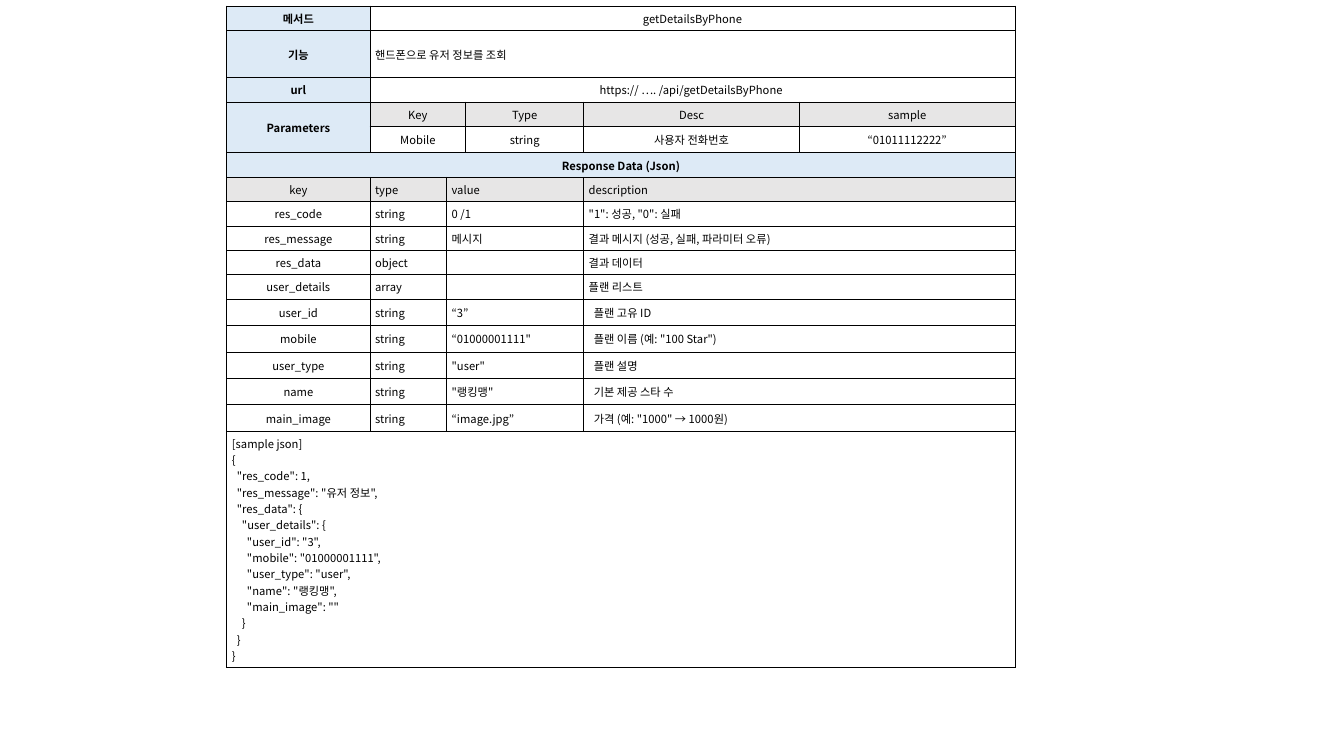
import pptx
import pptx.dml.color
import pptx.enum.text
import pptx.oxml.ns
import pptx.util
from lxml import etree

Inches = pptx.util.Inches
Pt = pptx.util.Pt
qn = pptx.oxml.ns.qn
FONT = "Noto Sans CJK KR"
COLORS = {"heading": "DDEAF6", "header": "E7E6E6", "plain": "FFFFFF", "ink": "000000"}
ALIGN = {"center": pptx.enum.text.PP_ALIGN.CENTER, "left": pptx.enum.text.PP_ALIGN.LEFT}


def draw_borders(cell):
    properties = cell._tc.get_or_add_tcPr()
    for side in ("a:lnL", "a:lnR", "a:lnT", "a:lnB"):
        line = etree.SubElement(properties, qn(side), w=str(Pt(0.75)))
        line_fill = etree.SubElement(line, qn("a:solidFill"))
        etree.SubElement(line_fill, qn("a:srgbClr"), val=COLORS["ink"])


def fill_cell(row, column, text, fill="plain", align="left", width=1, height=1,
              bold=False, roomy=False, anchor=pptx.enum.text.MSO_ANCHOR.MIDDLE):
    """Merge, colour and write one cell; width and height count grid cells."""
    cell = api_table.cell(row, column)
    if width > 1 or height > 1:
        cell.merge(api_table.cell(row + height - 1, column + width - 1))
    cell.fill.solid()
    cell.fill.fore_color.rgb = pptx.dml.color.RGBColor.from_string(COLORS[fill])
    cell.vertical_anchor = anchor
    cell.margin_left = cell.margin_right = Inches(0.1 if roomy else 0.05)
    cell.margin_top = cell.margin_bottom = Inches(0.05 if roomy else 0.04)
    for index, line in enumerate(text.split("\n")):
        frame = cell.text_frame
        paragraph = frame.add_paragraph() if index else frame.paragraphs[0]
        paragraph.alignment = ALIGN[align]
        if not line:
            etree.SubElement(paragraph._p, qn("a:endParaRPr"), sz="800")
            continue
        run = paragraph.add_run()
        run.text = line
        run.font.size = Pt(8)
        run.font.bold = bold
        run.font.name = FONT
        run.font.color.rgb = pptx.dml.color.RGBColor.from_string(COLORS["ink"])
        etree.SubElement(run.font._element, qn("a:ea"), typeface=FONT)


summary = [
    ("메서드", "getDetailsByPhone", "center"),
    ("기능", "핸드폰으로 유저 정보를 조회", "left"),
    ("url", "https:// …. /api/getDetailsByPhone ", "center"),
]
parameters = [
    ("Key", "Type", "Desc", "sample"),
    ("Mobile", "string", "사용자 전화번호", "“01011112222”"),
]
response_fields = [
    ("key", "type", "value", "description"),
    ("res_code", "string", "0 /1", '"1": 성공, "0": 실패'),
    ("res_message", "string", "메시지", "결과 메시지 (성공, 실패, 파라미터 오류)"),
    ("res_data", "object", "", "결과 데이터"),
    ("user_details", "array", "", "플랜 리스트"),
    ("user_id", "string", "“3”", "플랜 고유 ID"),
    ("mobile", "string", '“01000001111"', '플랜 이름 (예: "100 Star")'),
    ("user_type", "string", '"user"', "플랜 설명"),
    ("name", "string", '"랭킹맹"', "기본 제공 스타 수"),
    ("main_image", "string", "“image.jpg”", '가격 (예: "1000" → 1000원)'),
]
FIRST_USER_FIELD = 5
sample_json = """[sample json]
{
  "res_code": 1,
  "res_message": "유저 정보",
  "res_data": {
    "user_details": {
      "user_id": "3",
      "mobile": "01000001111",
      "user_type": "user",
      "name": "랭킹맹",
      "main_image": ""
    }
  }
}"""

presentation = pptx.Presentation()
presentation.slide_width = Inches(13.33)
presentation.slide_height = Inches(7.5)
slide = presentation.slides.add_slide(presentation.slide_layouts[6])

column_widths = [1.42, 0.76, 0.19, 1.17, 2.14, 2.14]
row_heights = [0.2, 0.47] + [0.2] * 14 + [1.6]
api_table = slide.shapes.add_table(
    len(row_heights), len(column_widths),
    Inches(2.25), Inches(0.06), Inches(7.82), Inches(5.7)).table
api_table.first_row = False
api_table.horz_banding = False
for column, width in zip(api_table.columns, column_widths):
    column.width = Inches(width)
for row, height in zip(api_table.rows, row_heights):
    row.height = Inches(height)
for cell in api_table.iter_cells():
    draw_borders(cell)

for row, (label, content, align) in enumerate(summary):
    fill_cell(row, 0, label, "heading", "center", bold=True)
    fill_cell(row, 1, content, align=align, width=5)

parameters_row = len(summary)
fill_cell(parameters_row, 0, "Parameters", "heading", "center", height=2, bold=True)
for index, texts in enumerate(parameters):
    for text, (column, width) in zip(texts, [(1, 2), (3, 1), (4, 1), (5, 1)]):
        fill_cell(parameters_row + index, column, text, "plain" if index else "header",
                  "center", width, roomy=index == 1 and column == 4)

response_row = parameters_row + len(parameters)
fill_cell(response_row, 0, "Response Data (Json)", "heading", "center", 6, bold=True)
for index, texts in enumerate(response_fields):
    for text, (column, width) in zip(texts, [(0, 1), (1, 1), (2, 2), (4, 2)]):
        fill_cell(response_row + 1 + index, column, text, "plain" if index else "header",
                  "left" if column else "center", width,
                  roomy=index >= FIRST_USER_FIELD and column in (0, 4))

fill_cell(len(row_heights) - 1, 0, sample_json, width=6,
          anchor=pptx.enum.text.MSO_ANCHOR.TOP)

presentation.save("out.pptx")
